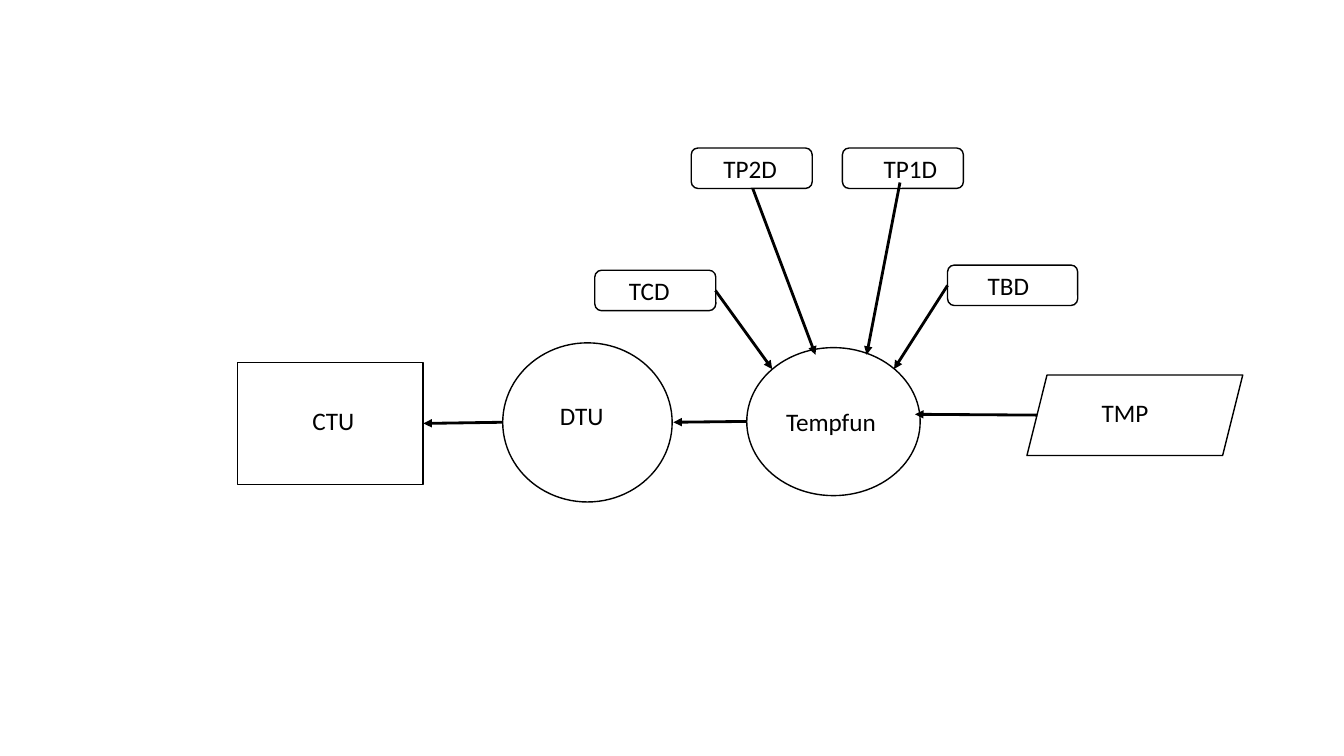
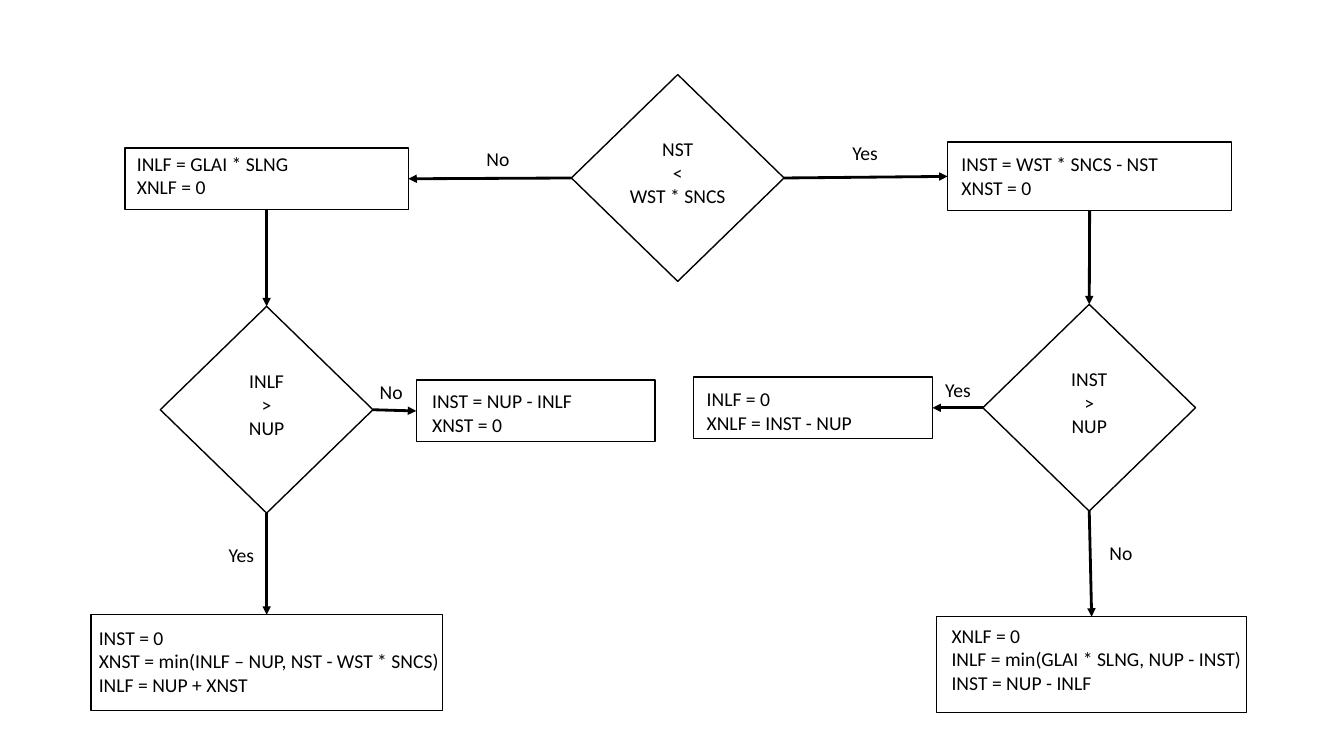
from lxml import etree
from pptx import Presentation
from pptx.dml.color import RGBColor
from pptx.enum.shapes import MSO_CONNECTOR, MSO_SHAPE as SHAPE
from pptx.enum.text import MSO_AUTO_SIZE, PP_ALIGN as ALIGN
from pptx.oxml.ns import qn
from pptx.util import Cm, Pt

COLORS = {"ink": "000000", "paper": "FFFFFF"}
FONT = "Calibri"
TOP, LEFT, BOTTOM, RIGHT = range(4)


def color(name):
    return RGBColor.from_string(COLORS[name])


def add_label(s, x, y, w, lines, size, align=ALIGN.LEFT):
    h = 0.26 + 0.0426 * size * len(lines)
    tb = s.shapes.add_textbox(Cm(x), Cm(y), Cm(w), Cm(h))
    tf = tb.text_frame
    tf.word_wrap = True
    tf.auto_size = MSO_AUTO_SIZE.SHAPE_TO_FIT_TEXT
    for i, line in enumerate(lines):
        p = tf.add_paragraph() if i else tf.paragraphs[0]
        p.alignment = align
        r = p.add_run()
        r.text = line
        r.font.name = FONT
        r.font.size = Pt(size)
        r.font.color.rgb = color("ink")


def add_node(s, kind, box, fill=None):
    sp = s.shapes.add_shape(kind, *map(Cm, box))
    sp.shadow.inherit = False
    if fill:
        sp.fill.solid()
        sp.fill.fore_color.rgb = color(fill)
    else:
        sp.fill.background()
    sp.line.color.rgb = color("ink")
    sp.line.width = Pt(1)
    return sp


def add_arrow(s, x1=0, y1=0, x2=0, y2=0):
    cxn = s.shapes.add_connector(MSO_CONNECTOR.STRAIGHT, Cm(x1), Cm(y1), Cm(x2), Cm(y2))
    cxn.line.color.rgb = color("ink")
    cxn.line.width = Pt(2)
    etree.SubElement(cxn.line._get_or_add_ln(), qn("a:tailEnd"), type="triangle")
    etree.SubElement(cxn._element.spPr, qn("a:effectLst"))
    return cxn


def add_variable(s, kind, box, text, dx, dy, w):
    add_node(s, kind, box, "paper")
    add_label(s, box[0] + dx, box[1] + dy, w, [text], 18)


def add_decision(s, x, y, lines):
    w, h = 5.36, 5.21
    sp = add_node(s, SHAPE.DIAMOND, (x, y, w, h))
    add_label(s, x, y + 1.45, w, lines, 14, ALIGN.CENTER)
    return sp


def add_step(s, box, dx, dy, w, lines):
    sp = add_node(s, SHAPE.RECTANGLE, box)
    add_label(s, box[0] + dx, box[1] + dy, w, lines, 14)
    return sp


def add_flow(s, start, start_side, end, end_side):
    cxn = add_arrow(s)
    cxn.begin_connect(start, start_side)
    cxn.end_connect(end, end_side)


def temperature_slide(prs):
    s = prs.slides.add_slide(prs.slide_layouts[6])
    rounded = SHAPE.ROUNDED_RECTANGLE
    for variable in (
        (SHAPE.PARALLELOGRAM, (25.88, 9.45, 5.44, 2.03), "TMP", 1.63, 0.43, 2.62),
        (SHAPE.OVAL, (18.82, 8.76, 4.37, 3.73), "Tempfun", 0.74, 1.35, 2.95),
        (SHAPE.OVAL, (12.67, 8.64, 4.27, 4.01), "DTU", 1.19, 1.32, 3.4),
        (SHAPE.RECTANGLE, (5.99, 9.14, 4.67, 3.07), "CTU", 1.63, 0.94, 2.95),
        (rounded, (23.88, 6.68, 3.28, 1.02), "TBD", 0.76, 0, 2.11),
        (rounded, (14.99, 6.81, 3.05, 1.02), "TCD", 0.61, 0, 2.39),
        (rounded, (21.23, 3.73, 3.05, 1.02), "TP1D", 0.79, 0, 2.01),
        (rounded, (17.42, 3.73, 3.05, 1.02), "TP2D", 0.56, 0, 2.01),
    ):
        add_variable(s, *variable)
    for ends in (
        (23.88, 7.19, 22.53, 9.3),
        (26.14, 10.46, 23.06, 10.44),
        (18.82, 10.62, 16.97, 10.64),
        (12.67, 10.64, 10.67, 10.67),
        (22.68, 4.6, 21.84, 8.94),
        (18.97, 4.75, 20.55, 8.94),
        (18.03, 7.32, 19.46, 9.3),
    ):
        add_arrow(s, *ends)


def nitrogen_slide(prs):
    s = prs.slides.add_slide(prs.slide_layouts[6])
    demand = add_decision(s, 14.4, 1.88, ["NST", "<", "WST * SNCS"])
    leaf = add_decision(s, 4.04, 7.72, ["INLF", ">", "NUP"])
    stem = add_decision(s, 24.77, 7.67, ["INST", ">", "NUP"])

    leaf_start = add_step(s, (3.15, 3.73, 7.14, 1.55), 0.05, -0.03, 6.88,
                          ["INLF = GLAI * SLNG", "XNLF = 0"])
    stem_start = add_step(s, (23.88, 3.58, 7.16, 1.73), 0.1, 0.13, 6.88,
                          ["INST = WST * SNCS - NST", "XNST = 0"])
    leaf_side = add_step(s, (10.49, 9.58, 6.02, 1.55), 0.15, 0.1, 6.88,
                         ["INST = NUP - INLF", "XNST = 0"])
    stem_side = add_step(s, (17.48, 9.5, 6.02, 1.55), 0.08, 0.13, 6.88,
                         ["INLF = 0", "XNLF = INST - NUP"])
    leaf_end = add_step(s, (2.29, 15.49, 8.86, 2.41), -0.05, 0.15, 9.14,
                        ["INST = 0", "XNST = min(INLF – NUP, NST - WST * SNCS)",
                         "INLF = NUP + XNST"])
    stem_end = add_step(s, (23.6, 15.54, 7.82, 2.41), 0.13, 0.05, 9.47,
                        ["XNLF = 0", "INLF = min(GLAI * SLNG, NUP - INST)",
                         "INST = NUP - INLF"])

    for flow in (
        (demand, LEFT, leaf_start, RIGHT),
        (demand, RIGHT, stem_start, LEFT),
        (leaf_start, BOTTOM, leaf, TOP),
        (stem_start, BOTTOM, stem, TOP),
        (leaf, RIGHT, leaf_side, LEFT),
        (stem, LEFT, stem_side, RIGHT),
        (leaf, BOTTOM, leaf_end, TOP),
        (stem, BOTTOM, stem_end, TOP),
    ):
        add_flow(s, *flow)
    for answer, x, y, w in (
        ("No", 12.01, 3.58, 2.18),
        ("Yes", 21.23, 3.43, 2.18),
        ("No", 9.32, 9.45, 1.65),
        ("Yes", 23.57, 9.4, 2.18),
        ("Yes", 5.51, 13.56, 2.18),
        ("No", 27.71, 13.51, 1.65),
    ):
        add_label(s, x, y, w, [answer], 14)


prs = Presentation()
prs.slide_width, prs.slide_height = Cm(33.87), Cm(19.05)
temperature_slide(prs)
nitrogen_slide(prs)
prs.save("out.pptx")
